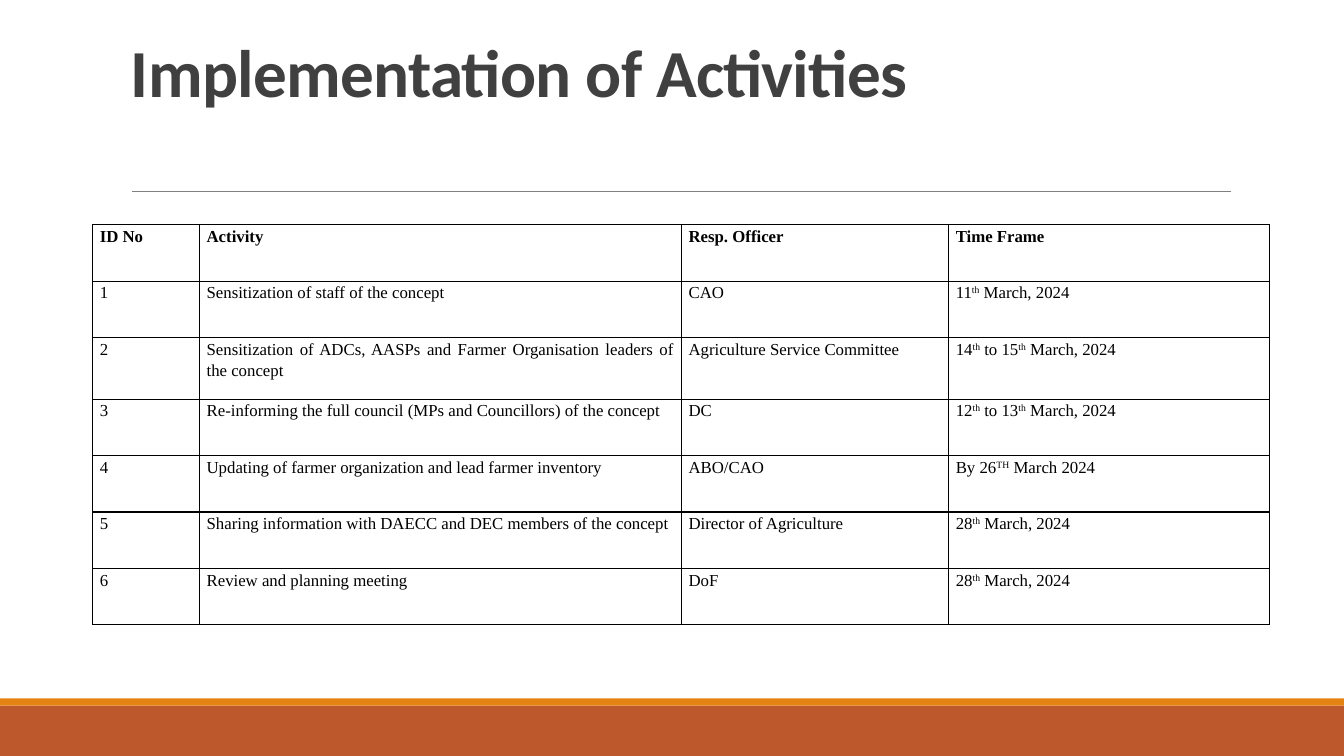
from lxml.etree import SubElement
from pptx import Presentation
from pptx.dml.color import RGBColor
from pptx.enum.shapes import MSO_CONNECTOR, MSO_SHAPE
from pptx.enum.text import MSO_ANCHOR, PP_ALIGN
from pptx.oxml.ns import qn
from pptx.util import Inches, Pt

COLUMN_WIDTHS = [1.06, 4.78, 2.65, 3.18]
ROW_HEIGHTS = [0.56, 0.56, 0.61, 0.56, 0.56, 0.56, 0.56]
ACTIVITIES = [
    ["ID No", "Activity", "Resp. Officer", "Time Frame"],
    ["1", "Sensitization of staff of the concept", "CAO", "11^th^ March, 2024"],
    ["2", "Sensitization of ADCs, AASPs and Farmer Organisation leaders of the concept",
     "Agriculture Service Committee", "14^th^ to 15^th^ March, 2024"],
    ["3", "Re-informing the full council (MPs and Councillors) of the concept", "DC",
     "12^th^ to 13^th^ March, 2024"],
    ["4", "Updating of farmer organization and lead farmer inventory", "ABO/CAO",
     "By 26^TH^ March 2024"],
    ["5", "Sharing information with DAECC and DEC members of the concept",
     "Director of Agriculture", "28^th^ March, 2024"],
    ["6", "Review and planning meeting", "DoF", "28^th^ March, 2024"],
]


def color(value):
    return RGBColor.from_string(value)


def style_span(span, font, size, value, bold):
    span.font.name = font
    span.font.size = Pt(size)
    span.font.color.rgb = color(value)
    span.font.bold = bold


def add_band(slide, top, height, value):
    band = slide.shapes.add_shape(
        MSO_SHAPE.RECTANGLE, 0, Inches(top), Inches(13.33), Inches(height))
    band.shadow.inherit = False
    band.fill.solid()
    band.fill.fore_color.rgb = color(value)
    band.line.fill.background()


def add_rule(slide, left, right, top):
    rule = slide.shapes.add_connector(
        MSO_CONNECTOR.STRAIGHT, Inches(left), Inches(top), Inches(right), Inches(top))
    rule.line.color.rgb = color("808080")
    rule.line.width = Pt(0.5)
    SubElement(rule._element.spPr, qn("a:effectLst"))


def add_title(slide, text):
    box = slide.shapes.add_textbox(Inches(1.2), Inches(0.31), Inches(11), Inches(1.59))
    frame = box.text_frame
    frame.word_wrap = True
    frame.vertical_anchor = MSO_ANCHOR.TOP
    frame.margin_top = Inches(0.11)
    frame.text = text
    para = frame.paragraphs[0]
    para.line_spacing = 0.85
    span = para.runs[0]
    style_span(span, "Calibri", 48, "404040", True)
    span._r.get_or_add_rPr().set("spc", "-50")


def add_borders(cell):
    properties = cell._tc.get_or_add_tcPr()
    for position, side in enumerate(["a:lnL", "a:lnR", "a:lnT", "a:lnB"]):
        border = SubElement(properties, qn(side), w=str(Pt(1)))
        fill = SubElement(border, qn("a:solidFill"))
        SubElement(fill, qn("a:srgbClr"), val="000000")
        properties.insert(position, border)


def fill_cell(cell, text, bold):
    cell.margin_left = cell.margin_right = Inches(0.07)
    cell.margin_top = cell.margin_bottom = 0
    cell.fill.background()
    add_borders(cell)
    para = cell.text_frame.paragraphs[0]
    para.alignment = PP_ALIGN.JUSTIFY
    para.line_spacing = 1.15
    for index, part in enumerate(text.split("^")):
        span = para.add_run()
        span.text = part
        style_span(span, "Times New Roman", 12, "000000", bold)
        if index % 2:
            span._r.get_or_add_rPr().set("baseline", "30000")


def add_activity_table(slide):
    table = slide.shapes.add_table(
        len(ROW_HEIGHTS), len(COLUMN_WIDTHS), Inches(0.92), Inches(2.23),
        Inches(sum(COLUMN_WIDTHS)), Inches(sum(ROW_HEIGHTS))).table
    for column, width in zip(table.columns, COLUMN_WIDTHS):
        column.width = Inches(width)
    for row, height in zip(table.rows, ROW_HEIGHTS):
        row.height = Inches(height)
    for row_index, texts in enumerate(ACTIVITIES):
        for column_index, text in enumerate(texts):
            fill_cell(table.cell(row_index, column_index), text, row_index == 0)


def main():
    deck = Presentation()
    deck.slide_width = Inches(13.33)
    deck.slide_height = Inches(7.5)
    slide = deck.slides.add_slide(deck.slide_layouts[6])
    add_band(slide, 7, 0.5, "BD582C")
    add_band(slide, 6.93, 0.07, "E48312")
    add_rule(slide, 1.31, 12.21, 1.9)
    add_title(slide, "Implementation of Activities")
    add_activity_table(slide)
    deck.save("out.pptx")


if __name__ == "__main__":
    main()
